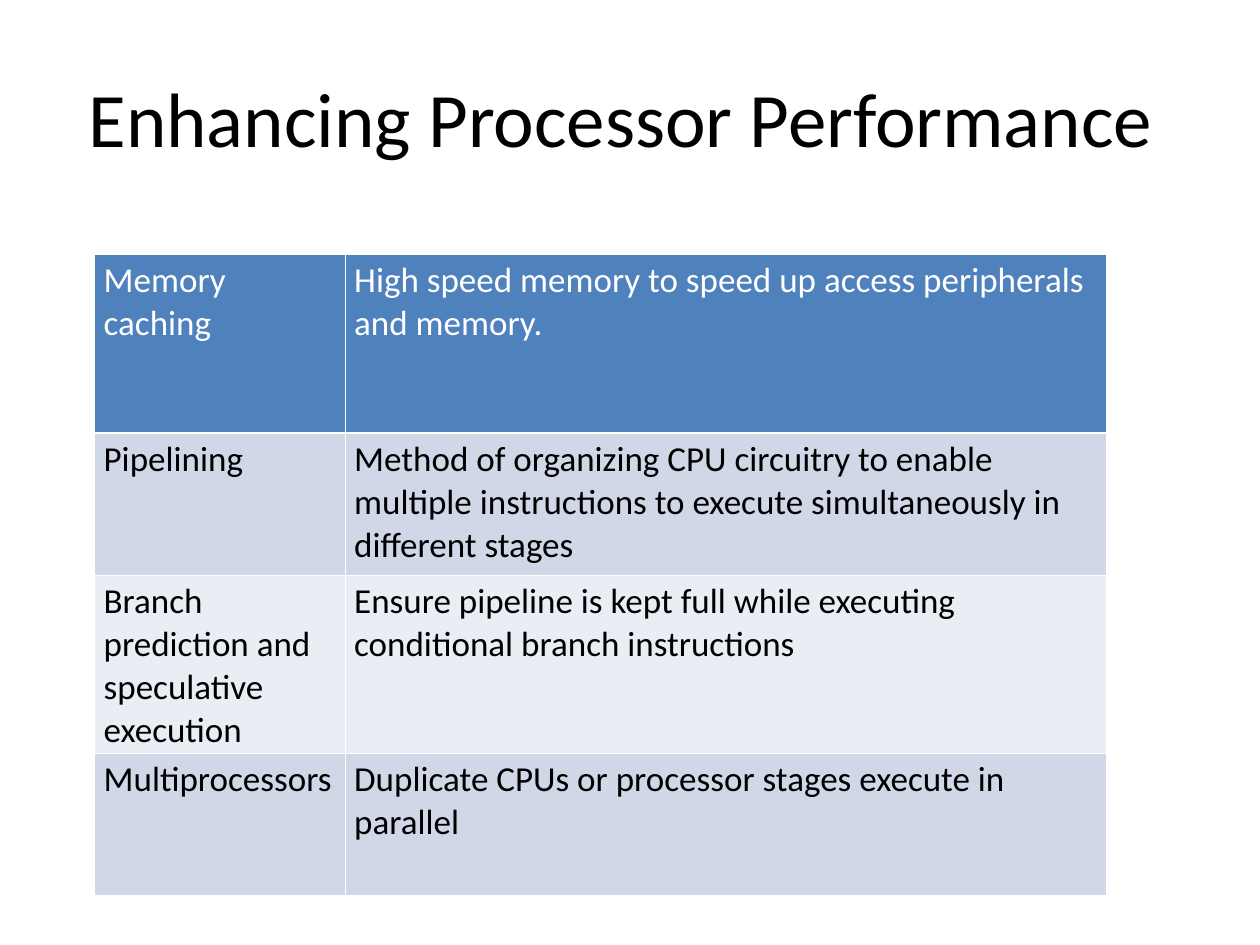
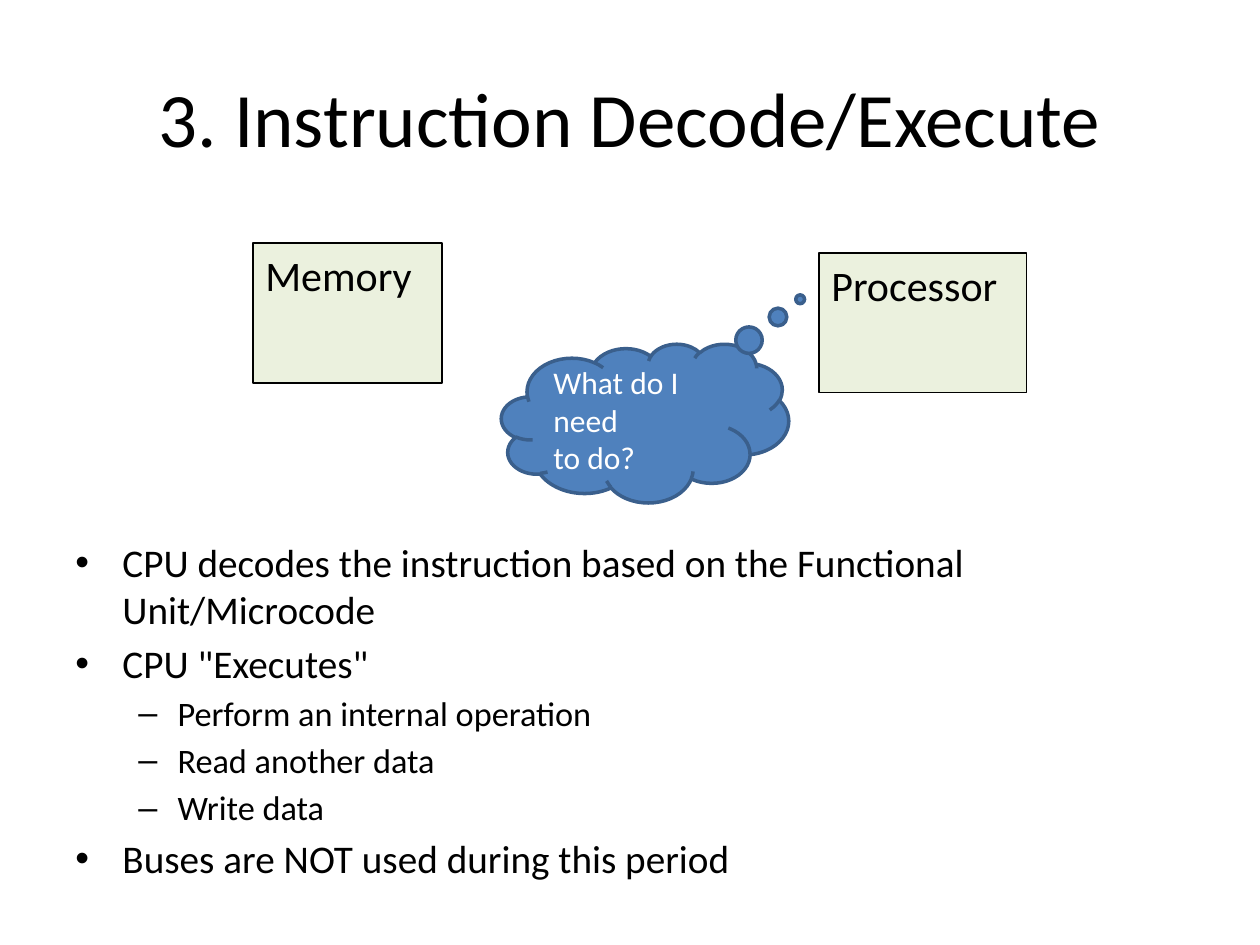
from lxml import etree
from pptx import Presentation
from pptx.dml.color import RGBColor
from pptx.enum.shapes import MSO_SHAPE
from pptx.enum.text import MSO_ANCHOR, PP_ALIGN
from pptx.oxml.ns import qn
from pptx.util import Cm, Pt

RECTANGLE, CLOUD = MSO_SHAPE.RECTANGLE, MSO_SHAPE.CLOUD_CALLOUT
TOP, MIDDLE = MSO_ANCHOR.TOP, MSO_ANCHOR.MIDDLE
LEFT, CENTER = PP_ALIGN.LEFT, PP_ALIGN.CENTER

FONT = "Calibri"
COLORS = {
    "text": "000000",
    "light": "FFFFFF",
    "accent": "4F81BD",
    "accent_edge": "3A5F8C",
    "odd_row": "D0D8E8",
    "even_row": "E9EDF4",
    "unit": "EBF1DE",
}

# Boxes are left, top, width, height in centimetres
TITLE_BOX = (1.27, 0.76, 22.86, 3.18)
TECHNIQUES_BOX = (1.91, 5.13, 20.4, 12.2)
DIAGRAM_BOX = (5.1, 4.9, 15.6, 5.24)
STEPS_BOX = (1.27, 10.72, 22.86, 6.3)

TECHNIQUES = [
    ("Memory caching",
     "High speed memory to speed up access peripherals and memory."),
    ("Pipelining",
     "Method of organizing CPU circuitry to enable multiple instructions "
     "to execute simultaneously in different stages"),
    ("Branch prediction and speculative execution",
     "Ensure pipeline is kept full while executing conditional branch instructions"),
    ("Multiprocessors",
     "Duplicate CPUs or processor stages execute in parallel"),
]
STEPS = [
    (0, "CPU decodes the instruction based on the Functional Unit/Microcode"),
    (0, 'CPU "Executes"'),
    (1, "Perform an internal operation"),
    (1, "Read another data"),
    (1, "Write data"),
    (0, "Buses are NOT used during this period"),
]
# Bullet, left margin (cm), hanging indent (cm), text size, space before
STEP_LEVELS = [("•", 0.95, 0.95, 22.4, 4), ("–", 2.06, 0.79, 19.6, 3.5)]


def rgb(name):
    return RGBColor.from_string(COLORS[name])


def style_paragraph(paragraph, size, color="text", align=LEFT):
    paragraph.alignment = align
    for run in paragraph.runs:
        run.font.name = FONT
        run.font.size = Pt(size)
        run.font.color.rgb = rgb(color)


def set_text(frame, text, size, color="text", align=LEFT):
    frame.text = text
    frame.word_wrap = True
    for paragraph in frame.paragraphs:
        style_paragraph(paragraph, size, color, align)


def add_title(slide, text, box):
    frame = slide.shapes.add_textbox(*map(Cm, box)).text_frame
    set_text(frame, text, 44, align=CENTER)
    frame.vertical_anchor = MIDDLE


def add_block(slide, preset, box, text, size, fill, edge, edge_width,
              color="text", anchor=TOP):
    block = slide.shapes.add_shape(preset, *map(Cm, box))
    block.shadow.inherit = False
    block.fill.solid()
    block.fill.fore_color.rgb = rgb(fill)
    block.line.color.rgb = rgb(edge)
    block.line.width = Pt(edge_width)
    set_text(block.text_frame, text, size, color)
    block.text_frame.vertical_anchor = anchor
    return block


def add_cell_borders(cell, color, width):
    properties = cell._tc.get_or_add_tcPr()
    for position, side in enumerate(("lnL", "lnR", "lnT", "lnB")):
        border = etree.Element(qn(f"a:{side}"), w=str(Pt(width)))
        fill = etree.SubElement(border, qn("a:solidFill"))
        etree.SubElement(fill, qn("a:srgbClr"), val=COLORS[color])
        properties.insert(position, border)


def add_techniques_table(slide, techniques, box):
    left, top, width, height = box
    name_width, header_height, row_height = 5.05, 3.6, 2.87
    table = slide.shapes.add_table(
        len(techniques), 2, Cm(left), Cm(top), Cm(width), Cm(height)).table
    for column, size in zip(table.columns, (name_width, width - name_width)):
        column.width = Cm(size)

    for index, technique in enumerate(techniques):
        table.rows[index].height = Cm(row_height if index else header_height)
        if index == 0:
            fill, color = "accent", "light"
        else:
            fill, color = ("odd_row" if index % 2 else "even_row"), "text"
        for cell, text in zip(table.rows[index].cells, technique):
            set_text(cell.text_frame, text, 20, color)
            cell.margin_left = cell.margin_right = Cm(0.18)
            cell.margin_top = cell.margin_bottom = Cm(0.1)
            cell.fill.solid()
            cell.fill.fore_color.rgb = rgb(fill)
            add_cell_borders(cell, "light", 1)


def add_decode_diagram(slide, box):
    left, top, width, _ = box
    unit_height, processor_width = 2.82, 4.19

    # Memory and processor at the two ends
    units = [
        ("Memory", left, top, 3.81),
        ("Processor", left + width - processor_width, top + 0.2, processor_width),
    ]
    for name, unit_left, unit_top, unit_width in units:
        add_block(slide, RECTANGLE, (unit_left, unit_top, unit_width, unit_height),
                  name, 24, "unit", "text", 0.75)

    # Thought of the processor
    thought = add_block(slide, CLOUD, (left + 5.01, top + 2.03, 5.79, 3.2),
                        "What do I need\nto do?", 18, "accent", "accent_edge", 2,
                        "light", MIDDLE)
    thought.adjustments[0] = 0.54
    thought.adjustments[1] = -0.78


def add_steps(slide, steps, box):
    frame = slide.shapes.add_textbox(*map(Cm, box)).text_frame
    frame.word_wrap = True
    for index, (level, text) in enumerate(steps):
        bullet, margin, hanging, size, space = STEP_LEVELS[level]
        step = frame.add_paragraph() if index else frame.paragraphs[0]
        step.text = text
        step.level = level
        properties = step._p.get_or_add_pPr()
        properties.set("marL", str(Cm(margin)))
        properties.set("indent", str(-Cm(hanging)))
        etree.SubElement(properties, qn("a:buFont"), typeface="Arial")
        etree.SubElement(properties, qn("a:buChar"), char=bullet)
        if index:
            step.space_before = Pt(space)
        style_paragraph(step, size)


def add_slide(deck, title):
    slide = deck.slides.add_slide(deck.slide_layouts[6])
    add_title(slide, title, TITLE_BOX)
    return slide


def main():
    deck = Presentation()
    deck.slide_width, deck.slide_height = Cm(25.4), Cm(19.05)

    performance = add_slide(deck, "Enhancing Processor Performance ")
    add_techniques_table(performance, TECHNIQUES, TECHNIQUES_BOX)

    decode = add_slide(deck, "3. Instruction Decode/Execute")
    add_steps(decode, STEPS, STEPS_BOX)
    add_decode_diagram(decode, DIAGRAM_BOX)

    deck.save("out.pptx")


if __name__ == "__main__":
    main()
